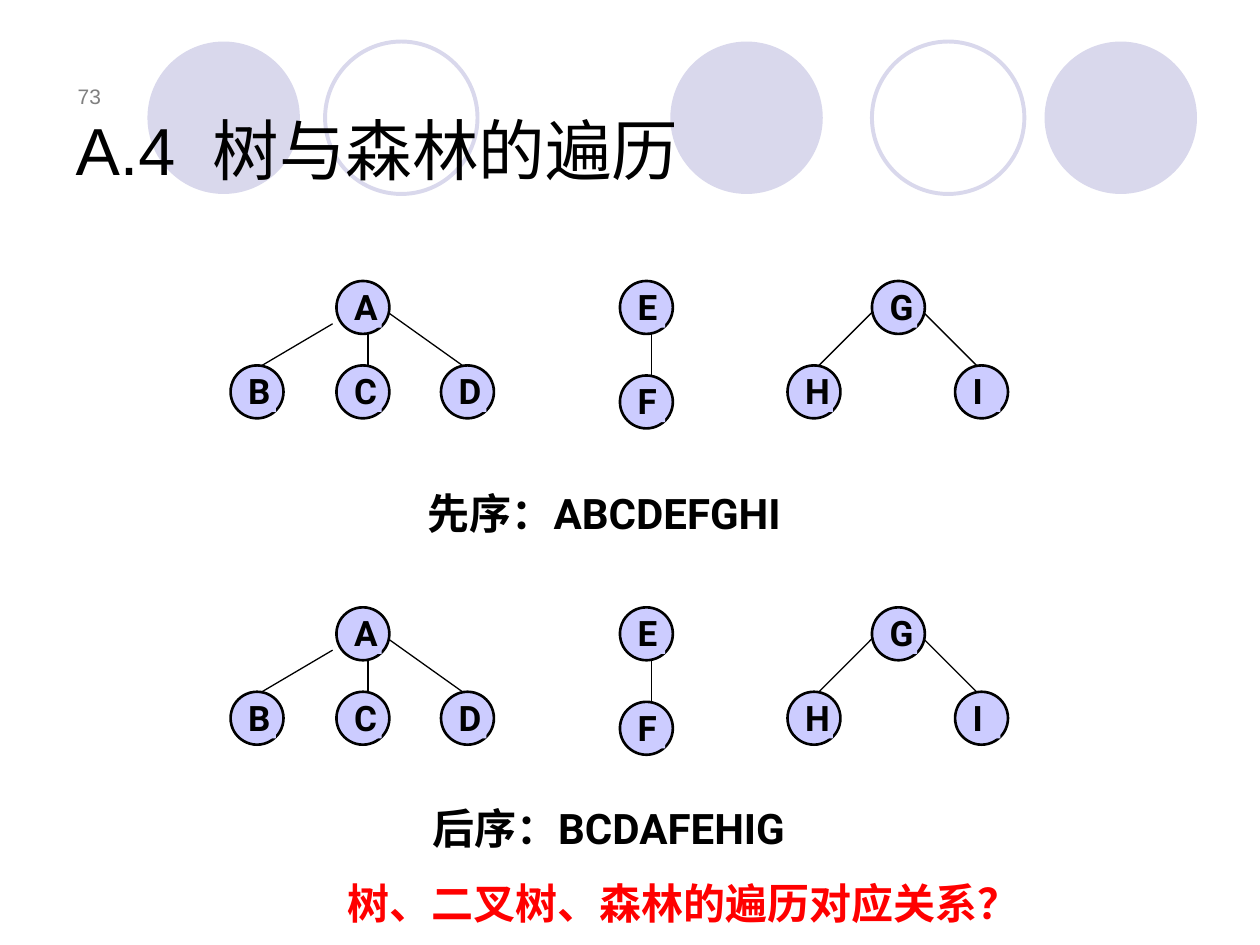
from pptx import Presentation
from pptx.dml.color import RGBColor
from pptx.enum.shapes import MSO_CONNECTOR, MSO_SHAPE
from pptx.enum.text import MSO_ANCHOR, MSO_AUTO_SIZE, PP_ALIGN
from pptx.oxml.ns import qn
from pptx.util import Inches, Pt
from lxml.etree import SubElement


def color(value):
    return RGBColor.from_string(value)


def write(shape, text, size=20, font="Roboto", fill="000000", bold=True,
          align=PP_ALIGN.LEFT, anchor=MSO_ANCHOR.TOP, spacing=0.8, margin=None):
    frame = shape.text_frame
    frame.word_wrap = True
    frame.auto_size = MSO_AUTO_SIZE.NONE
    frame.vertical_anchor = anchor
    if margin is not None:
        frame.margin_left = frame.margin_right = Inches(margin)
        frame.margin_top = frame.margin_bottom = Inches(margin)
    paragraph = frame.paragraphs[0]
    paragraph.alignment = align
    paragraph.line_spacing = spacing
    run = paragraph.add_run()
    run.text = text
    run.font.size = Pt(size)
    run.font.name = font
    run.font.bold = bold
    run.font.color.rgb = color(fill)


presentation = Presentation()
presentation.slide_width = Inches(10)
presentation.slide_height = Inches(7.5)
slide = presentation.slides.add_slide(presentation.slide_layouts[5])
shapes = slide.shapes

for left, filled in [(5.32, True), (8.29, True), (1.17, True), (6.92, False), (2.58, False)]:
    circle = shapes.add_shape(MSO_SHAPE.OVAL, Inches(left), Inches(0.33), Inches(1.21), Inches(1.21))
    circle.shadow.inherit = False
    if filled:
        circle.fill.solid()
        circle.fill.fore_color.rgb = color("D9D8EC")
        circle.line.fill.background()
    else:
        circle.fill.background()
        circle.line.color.rgb = color("D9D8EC")
        circle.line.width = Pt(2.25)

page_number = shapes.add_textbox(Inches(0.35), Inches(0.44), Inches(0.55), Inches(0.47))
write(page_number, "73", size=12, font="Arial", fill="808080", bold=False,
      align=PP_ALIGN.RIGHT, anchor=MSO_ANCHOR.BOTTOM, spacing=1.0)

title = shapes.title
title.left, title.top, title.width, title.height = Inches(0.5), Inches(0.3), Inches(9), Inches(1.25)
write(title, "A.4  树与森林的遍历", size=38, font="Arial", bold=False,
      anchor=MSO_ANCHOR.BOTTOM, spacing=1.0)
shapes.element.append(title.element)

nodes = [("A", 2.67, 0), ("B", 1.83, 0.67), ("C", 2.67, 0.67), ("D", 3.5, 0.67),
         ("E", 4.92, 0), ("F", 4.92, 0.75),
         ("G", 6.92, 0), ("H", 6.25, 0.67), ("I", 7.58, 0.67)]
edges = [(2.64, 0.34, 2.08, 0.67), (2.92, 0.42, 2.92, 0.67), (3.08, 0.25, 3.67, 0.67),
         (5.17, 0.42, 5.17, 0.75), (6.92, 0.25, 6.5, 0.67), (7.33, 0.25, 7.75, 0.67)]

for forest_top in (2.23, 4.82):
    for start_x, start_y, end_x, end_y in edges:
        edge = shapes.add_connector(MSO_CONNECTOR.STRAIGHT,
                                    Inches(start_x), Inches(forest_top + start_y),
                                    Inches(end_x), Inches(forest_top + end_y))
        edge.line.color.rgb = color("000000")
        edge.line.width = Pt(0.75)
        SubElement(edge.element.spPr, qn("a:effectLst"))
    for letter, left, offset in nodes:
        top = forest_top + offset
        node = shapes.add_shape(MSO_SHAPE.OVAL, Inches(left), Inches(top), Inches(0.42), Inches(0.42))
        node.line.color.rgb = color("000000")
        node.line.width = Pt(1.5)
        label = shapes.add_shape(MSO_SHAPE.RECTANGLE, Inches(left + 0.14), Inches(top + 0.1),
                                 Inches(0.22), Inches(0.27))
        label.line.fill.background()
        for shape in (node, label):
            shape.shadow.inherit = False
            shape.fill.solid()
            shape.fill.fore_color.rgb = color("CCCCFF")
        write(label, letter, margin=0)

for text, left, top, width, fill in [
    ("先序：ABCDEFGHI", 2.67, 3.9, 4.25, "000000"),
    ("后序：BCDAFEHIG", 2.58, 6.4, 4.5, "000000"),
    ("树、二叉树、森林的遍历对应关系？", 2.54, 6.99, 5.77, "FF0000"),
]:
    caption = shapes.add_textbox(Inches(left), Inches(top), Inches(width), Inches(0.42))
    write(caption, text, size=24, fill=fill, align=PP_ALIGN.CENTER)

presentation.save("out.pptx")
